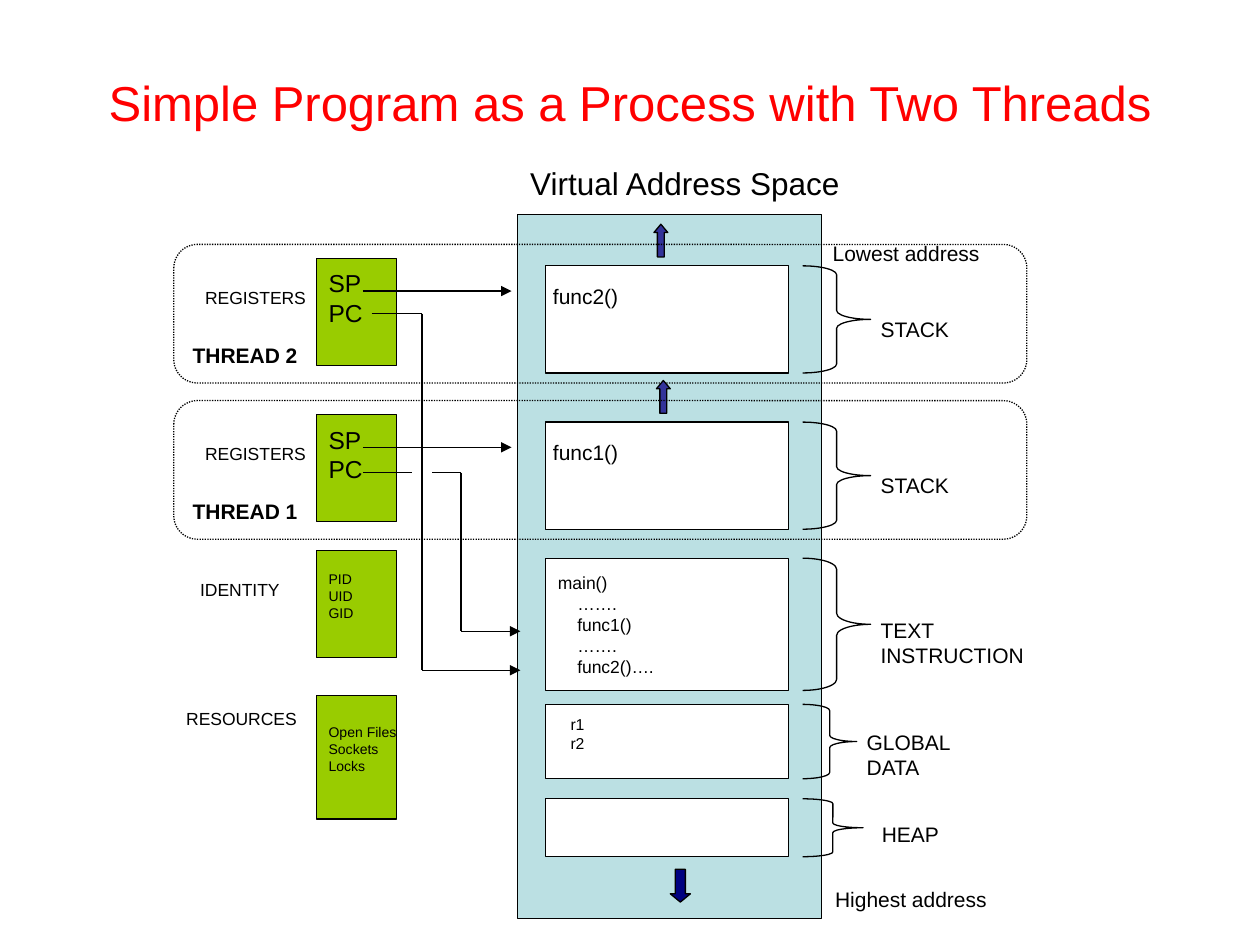
from lxml.etree import SubElement
from pptx import Presentation
from pptx.dml.color import RGBColor
from pptx.enum.dml import MSO_LINE
from pptx.enum.shapes import MSO_CONNECTOR, MSO_SHAPE
from pptx.enum.text import MSO_ANCHOR, PP_ALIGN
from pptx.oxml.ns import qn
from pptx.util import Inches, Pt

COLORS = {
    "title": "FF0000", "ink": "000000", "space": "BBE0E3", "segment": "FFFFFF",
    "record": "99CC00", "growth": "333399", "heap growth": "000080",
}
TITLE = "Simple Program as a Process with Two Threads"

SEGMENT_LEFT, SEGMENT_WIDTH, BRACE_LEFT = 4.33, 1.93, 6.37
RECORD_LEFT, RECORD_WIDTH = 2.51, 0.64
THREAD_PITCH = 1.24

# top, height, brace width, code lines, label lines, label box
SEGMENTS = [
    (4.43, 1.05, 0.54,
     ["main()", "    …….", "    func1()", "    …….", "    func2()…."],
     ["TEXT", "INSTRUCTION"], (6.89, 4.85, 1.4, 0.5)),
    (5.59, 0.59, 0.43, [], ["GLOBAL", "DATA"], (6.78, 5.74, 0.92, 0.5)),
    (6.34, 0.46, 0.48, [], ["HEAP"], (6.9, 6.47, 0.71, 0.3)),
]
# top, height, lines, label, label box
RECORDS = [
    (4.37, 0.85, ["PID", "UID", "GID"], "IDENTITY", (1.49, 4.55, 0.89, 0.27)),
    (5.52, 0.98, ["Open Files", "Sockets", "Locks"], "RESOURCES",
     (1.38, 5.57, 1.13, 0.27)),
]
THREADS = [("THREAD 2", "func2()"), ("THREAD 1", "func1()")]  # top to bottom
# lines, box, size
CAPTIONS = [
    (["Lowest address"], (6.51, 1.86, 1.45, 0.3), 12),
    (["Highest address"], (6.53, 6.99, 1.5, 0.3), 12),
    (["r1", "r2"], (4.43, 5.62, 0.73, 0.4), 9),
    (["Virtual Address Space"], (4.11, 1.25, 2.77, 0.4), 18),
]
# Corner points; the flag puts an arrowhead at the last one
PC_ROUTES = [
    ([(2.95, 2.49), (3.35, 2.49), (3.35, 5.32), (4.13, 5.32)], True),
    ([(2.88, 3.75), (3.27, 3.75)], False),
    ([(3.43, 3.75), (3.66, 3.75), (3.66, 5.01), (4.13, 5.01)], True),
]

presentation = Presentation()
presentation.slide_width, presentation.slide_height = Inches(10), Inches(7.5)
slide = presentation.slides.add_slide(presentation.slide_layouts[6])


def color(name):
    return RGBColor.from_string(COLORS[name])


def write(frame, lines, size, ink="ink", bold=False, align=PP_ALIGN.LEFT):
    for index, line in enumerate(lines):
        paragraph = frame.paragraphs[0] if index == 0 else frame.add_paragraph()
        paragraph.text = line
        paragraph.alignment = align
        formats = {"name": "Arial", "size": Pt(size), "bold": bold}
        for attribute, value in formats.items():
            setattr(paragraph.font, attribute, value)
        paragraph.font.color.rgb = color(ink)


def add_label(lines, box, size, bold=False):
    frame = slide.shapes.add_textbox(*map(Inches, box)).text_frame
    frame.word_wrap = True
    write(frame, lines, size, bold=bold)


def add_outlined(kind, box, fill=None, adjustments=()):
    shape = slide.shapes.add_shape(kind, *map(Inches, box))
    shape.shadow.inherit = False
    if fill:
        shape.fill.solid()
        shape.fill.fore_color.rgb = color(fill)
    else:
        shape.fill.background()
    shape.line.color.rgb = color("ink")
    shape.line.width = Pt(0.75)
    for index, value in enumerate(adjustments):
        shape.adjustments[index] = value
    return shape


def fill_with_text(shape, lines, size, spare_lines=0):
    """Centre the lines vertically, leaving room for spare lines below them."""
    frame = shape.text_frame
    frame.word_wrap = False
    frame.vertical_anchor = MSO_ANCHOR.MIDDLE
    frame.margin_bottom = Inches(0.05 + spare_lines * size * 1.15 / 72)
    write(frame, lines, size)


def add_record(top, height, lines, size):
    box = (RECORD_LEFT, top, RECORD_WIDTH, height)
    fill_with_text(add_outlined(MSO_SHAPE.RECTANGLE, box, "record"),
                   lines, size, spare_lines=1)


def add_segment(top, height, brace_width, lines=()):
    """Add a memory segment and the brace that spans it."""
    box = (SEGMENT_LEFT, top, SEGMENT_WIDTH, height)
    segment = add_outlined(MSO_SHAPE.RECTANGLE, box, "segment")
    if lines:
        fill_with_text(segment, lines, 10)
    curve = height / 12 / min(brace_width, height)
    add_outlined(MSO_SHAPE.RIGHT_BRACE, (BRACE_LEFT, top, brace_width, height),
                 adjustments=(curve, 0.5))


def add_line(start, end, arrow=False):
    connector = slide.shapes.add_connector(
        MSO_CONNECTOR.STRAIGHT, *map(Inches, (*start, *end)))
    connector.line.color.rgb = color("ink")
    connector.line.width = Pt(0.75)
    properties = connector._element.spPr
    if arrow:
        SubElement(properties.find(qn("a:ln")), qn("a:tailEnd"), type="triangle")
    SubElement(properties, qn("a:effectLst"))


title = slide.shapes.add_textbox(*map(Inches, (0.5, 0.3, 9, 1.01))).text_frame
title.word_wrap = True
title.vertical_anchor = MSO_ANCHOR.MIDDLE
write(title, [TITLE], 28, "title", align=PP_ALIGN.CENTER)

add_outlined(MSO_SHAPE.RECTANGLE, (4.11, 1.7, 2.41, 5.59), "space")
for top, height, brace_width, code, label, label_box in SEGMENTS:
    add_segment(top, height, brace_width, code)
    add_label(label, label_box, 12)
add_outlined(MSO_SHAPE.DOWN_ARROW, (5.32, 6.9, 0.16, 0.26), "heap growth", (0.5, 0.41))

for top, height, lines, label, label_box in RECORDS:
    add_record(top, height, lines, 8)
    add_label([label], label_box, 10)

for index, (name, function) in enumerate(THREADS):
    top = 1.94 + index * THREAD_PITCH
    add_outlined(MSO_SHAPE.UP_ARROW, (5.19 + 0.02 * index, top - 0.16, 0.11, 0.26),
                 "growth", (0.5, 0.6))
    add_segment(top + 0.17, 0.85, 0.54)
    add_label(["STACK"], (6.89, top + 0.52, 0.81, 0.3), 12)
    add_record(top + 0.11, 0.85, ["SP", "PC"], 14)
    add_line((2.88, top + 0.37), (4.06, top + 0.37), arrow=True)
    add_label(["REGISTERS"], (1.53, top + 0.29, 1.06, 0.27), 10)
    outline = add_outlined(MSO_SHAPE.ROUNDED_RECTANGLE, (1.38, top, 6.77, 1.1),
                           adjustments=(0.17,))
    outline.line.dash_style = MSO_LINE.ROUND_DOT
    add_label([function], (4.29, top + 0.26, 0.78, 0.3), 12)
    add_label([name], (1.43, top + 0.73, 1.09, 0.3), 12, bold=True)

for points, has_arrow in PC_ROUTES:
    for start, end in zip(points, points[1:]):
        add_line(start, end, arrow=has_arrow and end == points[-1])

for lines, box, size in CAPTIONS:
    add_label(lines, box, size)

presentation.save("out.pptx")
